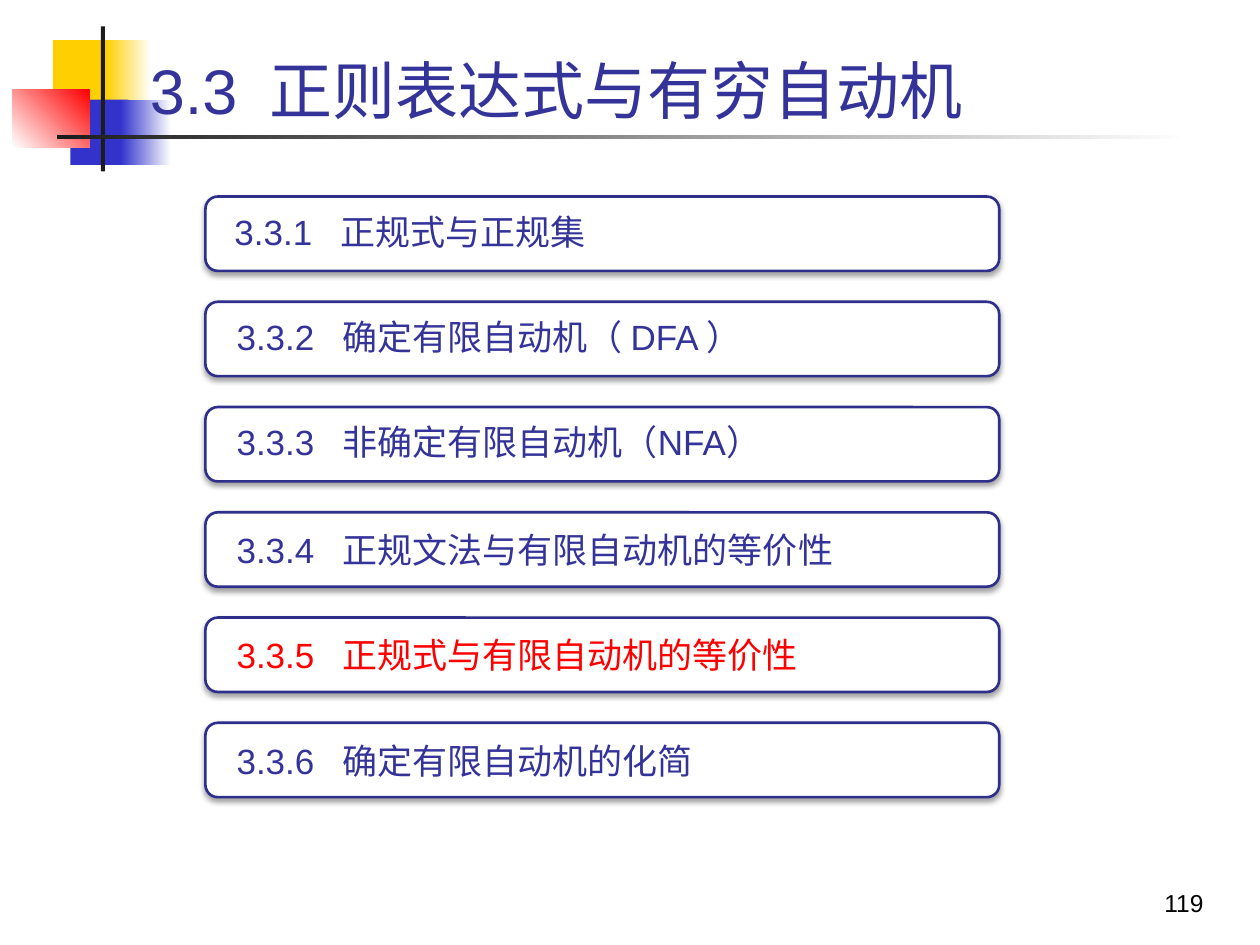
from lxml.etree import SubElement
from pptx import Presentation
from pptx.dml.color import RGBColor as Color
from pptx.enum.shapes import MSO_SHAPE as Shape
from pptx.enum.text import MSO_ANCHOR as Anchor, MSO_AUTO_SIZE as AutoSize, PP_ALIGN as Align
from pptx.oxml.ns import qn
from pptx.util import Pt

TITLE = ("3.3", "正则表达式与有穷自动机")
PAGE_NUMBER = "119"
SECTIONS = [
    ("3.3.1", "正规式与正规集"),
    ("3.3.2", "确定有限自动机（ DFA ）"),
    ("3.3.3", "非确定有限自动机（NFA）"),
    ("3.3.4", "正规文法与有限自动机的等价性"),
    ("3.3.5", "正规式与有限自动机的等价性"),
    ("3.3.6", "确定有限自动机的化简"),
]
CURRENT = "3.3.5"
TIGHT = ("3.3.1", "3.3.2", "3.3.3")

THEME = {
    "font": "Arial", "title": 36, "section": 20, "number": 14,
    "ink": "333399", "current": "FF0000", "black": "000000",
    "panel": "FFFFFF", "border": "2E2E8B",
    "yellow": "FFCF01", "blue": "3333CC", "red": "FF0000",
    "bar": "1C1C1C", "white": "FFFFFF",
}

DECORATIONS = [
    ((30.2, 23, 34.6, 37.4), ("yellow",), 0),
    ((60.5, 23, 25.9, 37.4), ("yellow", "white"), 0),
    ((40.3, 56.9, 33.1, 37.4), ("blue",), 0),
    ((69.1, 56.9, 28.8, 37.4), ("blue", "white"), 0),
    ((7.2, 51.1, 43.9, 33.1), ("white", "red"), 45),
    ((57.6, 15.1, 2.4, 82.8), ("bar",), 0),
    ((32.4, 77, 648, 2.4), ("bar", "white"), 0),
]
TITLE_AREA = (78.5, 15.8, 613.4, 60.5)
NUMBER_AREA = (545, 491.8, 149.8, 36)
PANEL_LEFT, PANEL_TOP, PANEL_WIDTH, PANEL_HEIGHT = 117.4, 112.3, 453.6, 42.5
PANEL_PITCH = 60.15
TITLE_TAB, SECTION_TAB = 68.5, 60.4


def color(name):
    return Color.from_string(THEME[name])


def points(area):
    return [Pt(value) for value in area]


def set_values(target, values):
    for name, value in values.items():
        setattr(target, name, value)


def write(box, text, size, ink, frame_format, para_format=None, tab=None):
    frame = box.text_frame
    set_values(frame, {"word_wrap": True, "auto_size": AutoSize.NONE, **frame_format})
    para = frame.paragraphs[0]
    set_values(para, para_format or {})
    if tab:
        stops = SubElement(para._p.get_or_add_pPr(), qn("a:tabLst"))
        SubElement(stops, qn("a:tab"), pos=str(int(Pt(tab))), algn="l")
    span = para.add_run()
    span.text = text
    set_values(span.font, {"name": THEME["font"], "size": Pt(THEME[size])})
    span.font.color.rgb = color(ink)


def add_decoration(slide, area, names, angle):
    block = slide.shapes.add_shape(Shape.RECTANGLE, *points(area))
    block.shadow.inherit = False
    block.line.fill.background()
    if len(names) == 1:
        block.fill.solid()
        block.fill.fore_color.rgb = color(names[0])
        return
    block.fill.gradient()
    block.fill.gradient_angle = angle
    for stop, name in zip(block.fill.gradient_stops, names):
        stop.color.rgb = color(name)


def add_soft_shadow(panel):
    panel.shadow.inherit = False
    effects = panel.element.spPr.find(qn("a:effectLst"))
    shadow = SubElement(effects, qn("a:outerShdw"), blurRad=str(int(Pt(3.1))),
                        dist=str(int(Pt(1.6))), dir="5400000", rotWithShape="0")
    shade = SubElement(shadow, qn("a:srgbClr"), val=THEME["black"])
    SubElement(shade, qn("a:alpha"), val="38000")


def add_section(slide, index, number, name):
    top = PANEL_TOP + index * PANEL_PITCH
    group = slide.shapes.add_group_shape()
    panel = group.shapes.add_shape(
        Shape.ROUNDED_RECTANGLE, *points((PANEL_LEFT, top, PANEL_WIDTH, PANEL_HEIGHT)))
    panel.fill.solid()
    panel.fill.fore_color.rgb = color("panel")
    panel.line.color.rgb = color("border")
    panel.line.width = Pt(1.5)
    add_soft_shadow(panel)

    inset = 2.2 if index == 0 else 3.4
    label = group.shapes.add_textbox(*points(
        (PANEL_LEFT + inset, top + 2.2, PANEL_WIDTH - 2 * inset, PANEL_HEIGHT - 4.4)))
    write(label, f"{number}\t{name}", "section",
          "current" if number == CURRENT else "ink",
          {"vertical_anchor": Anchor.MIDDLE, "margin_left": Pt(14.4),
           "margin_right": Pt(14.4), "margin_top": 0, "margin_bottom": 0},
          {"line_spacing": 0.9} if number in TIGHT else None, SECTION_TAB)


def main():
    deck = Presentation()
    deck.slide_width, deck.slide_height = Pt(720), Pt(540)
    slide = deck.slides.add_slide(deck.slide_layouts[5])

    for decoration in DECORATIONS:
        add_decoration(slide, *decoration)

    title = slide.shapes.title
    title.element.getparent().append(title.element)
    set_values(title, dict(zip(("left", "top", "width", "height"), points(TITLE_AREA))))
    write(title, "\t".join(TITLE), "title", "ink",
          {"vertical_anchor": Anchor.BOTTOM}, {"alignment": Align.LEFT}, TITLE_TAB)

    number_box = slide.shapes.add_textbox(*points(NUMBER_AREA))
    write(number_box, PAGE_NUMBER, "number", "black",
          {"vertical_anchor": Anchor.BOTTOM}, {"alignment": Align.RIGHT})

    for index, (number, name) in enumerate(SECTIONS):
        add_section(slide, index, number, name)

    deck.save("out.pptx")


if __name__ == "__main__":
    main()
